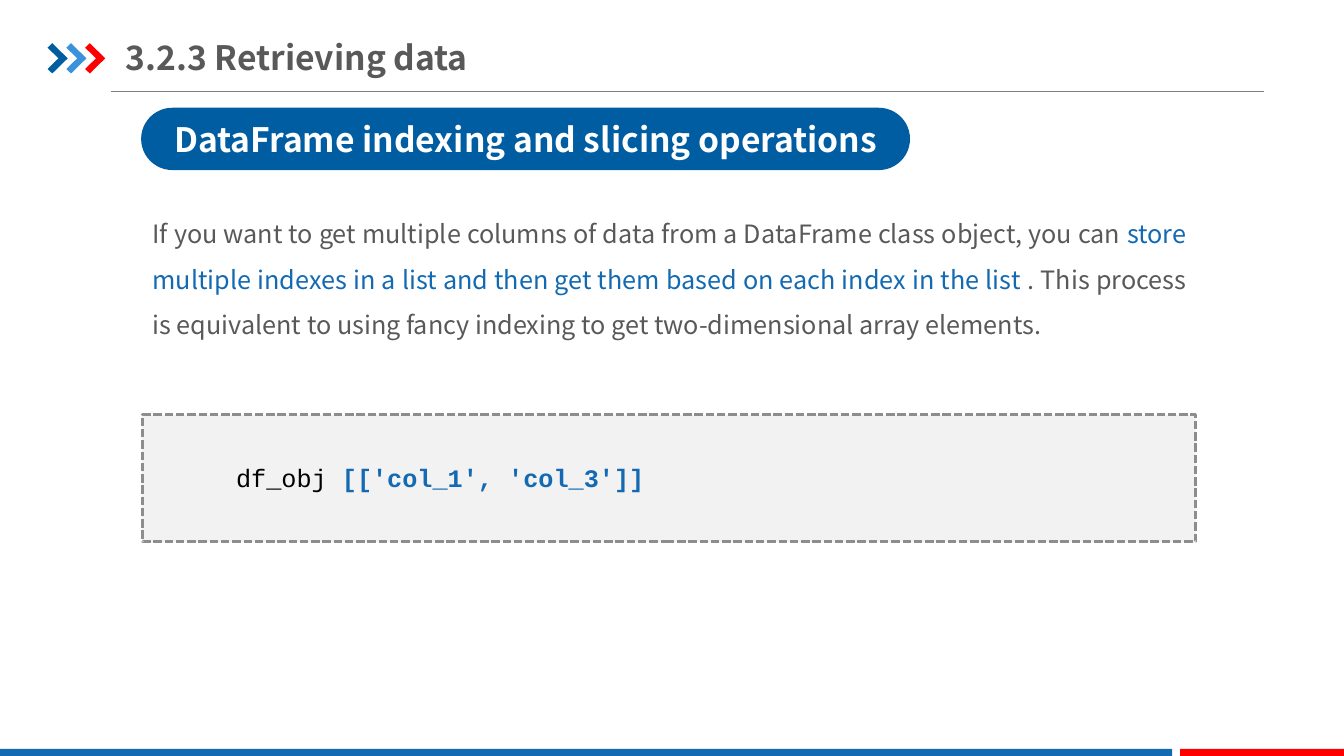
from dataclasses import dataclass

from lxml.etree import SubElement
from pptx import Presentation
from pptx.dml.color import RGBColor
from pptx.enum.dml import MSO_LINE
from pptx.enum.shapes import MSO_CONNECTOR, MSO_SHAPE
from pptx.enum.text import MSO_ANCHOR, MSO_AUTO_SIZE, PP_ALIGN
from pptx.oxml.ns import qn
from pptx.util import Pt


@dataclass(frozen=True)
class Theme:
    navy: str = "005DA2"
    blue: str = "1369B2"
    sky: str = "3992DB"
    red: str = "FF0000"
    text: str = "595959"
    black: str = "000000"
    white: str = "FFFFFF"
    rule: str = "808080"
    panel: str = "F2F2F2"
    dash: str = "8D8D8D"
    body_font: str = "Noto Sans CJK SC"
    code_font: str = "Courier New"
    heading_size: float = 24
    body_size: float = 18


THEME = Theme()
SLIDE_WIDTH, SLIDE_HEIGHT = 960, 540


def color(value):
    return RGBColor.from_string(value)


def add_span(para, text, shade, size=THEME.body_size, font=THEME.body_font, bold=False):
    span = para.add_run()
    span.text = text
    span.font.name = font
    span.font.size = Pt(size)
    span.font.bold = bold
    span.font.color.rgb = color(shade)


def paint(shape, fill):
    shape.shadow.inherit = False
    shape.fill.solid()
    shape.fill.fore_color.rgb = color(fill)
    shape.line.fill.background()


def add_block(slide, kind, box, fill):
    block = slide.shapes.add_shape(kind, *map(Pt, box))
    paint(block, fill)
    return block


def add_text_box(slide, box):
    frame = slide.shapes.add_textbox(*map(Pt, box)).text_frame
    frame.word_wrap = True
    frame.auto_size = MSO_AUTO_SIZE.SHAPE_TO_FIT_TEXT
    return frame.paragraphs[0]


def add_chevrons(slide, box):
    left, top, width, height = box
    outline = [(0, 3.2), (3.4, 0), (width, height / 2), (3.4, height),
               (0, height - 3.2), (7.8, height / 2)]
    step = 13.4
    for index, fill in enumerate((THEME.navy, THEME.sky, THEME.red)):
        points = [(Pt(left + index * step + x), Pt(top + y)) for x, y in outline]
        builder = slide.shapes.build_freeform(*points[0], scale=1.0)
        builder.add_line_segments(points[1:], close=True)
        paint(builder.convert_to_shape(), fill)


def add_header(slide, box, title):
    left, top, width, height = box
    # Rule below the title
    rule_y = Pt(top + height + 5.1)
    rule = slide.shapes.add_connector(
        MSO_CONNECTOR.STRAIGHT, Pt(left + 45.2), rule_y, Pt(left + width), rule_y)
    rule.line.color.rgb = color(THEME.rule)
    rule.line.width = Pt(0.75)
    SubElement(rule._element.spPr, qn("a:effectLst"))

    add_chevrons(slide, (left, top + 9.9, 14.4, 21.6))

    # Title placeholder
    holder = slide.shapes.title
    holder.left, holder.top = Pt(left + 56), Pt(top)
    holder.width, holder.height = Pt(361.5), Pt(height)
    frame = holder.text_frame
    frame.auto_size = MSO_AUTO_SIZE.NONE
    frame.vertical_anchor = MSO_ANCHOR.MIDDLE
    frame.margin_left = frame.margin_right = 0
    frame.margin_top = frame.margin_bottom = Pt(5)
    para = frame.paragraphs[0]
    para.alignment = PP_ALIGN.LEFT
    add_span(para, title, THEME.text, THEME.heading_size, bold=True)


def add_footer(slide, box):
    left, top, width, height = box
    blue_width, gap = 837.2, 5.8
    red_left = blue_width + gap
    add_block(slide, MSO_SHAPE.RECTANGLE, (left, top, blue_width, height), THEME.blue)
    add_block(slide, MSO_SHAPE.RECTANGLE,
              (left + red_left, top, width - red_left, height), THEME.red)


def add_topic(slide, box, text):
    pill = add_block(slide, MSO_SHAPE.ROUNDED_RECTANGLE, box, THEME.navy)
    pill.adjustments[0] = 0.5
    pill.text_frame.vertical_anchor = MSO_ANCHOR.MIDDLE
    para = pill.text_frame.paragraphs[0]
    para.alignment = PP_ALIGN.CENTER
    add_span(para, text, THEME.white, THEME.heading_size, bold=True)


def add_explanation(slide, box, spans):
    para = add_text_box(slide, box)
    para.alignment = PP_ALIGN.JUSTIFY
    para.line_spacing = 1.5
    for text, shade in spans:
        add_span(para, text, shade)


def add_code_panel(slide, box, name, selection):
    left, top, width, height = box
    panel = add_block(slide, MSO_SHAPE.RECTANGLE, box, THEME.panel)
    panel.line.color.rgb = color(THEME.dash)
    panel.line.width = Pt(2)
    panel.line.dash_style = MSO_LINE.SQUARE_DOT

    para = add_text_box(slide, (left + 38.9, top + 27.2, width - 67, 31.6))
    properties = para._p.get_or_add_pPr()
    properties.set("marL", "0")
    properties.set("indent", str(Pt(21)))
    para.line_spacing = 1.15
    add_span(para, name, THEME.black, font=THEME.code_font)
    add_span(para, selection, THEME.blue, font=THEME.code_font, bold=True)


def main():
    deck = Presentation()
    deck.slide_width, deck.slide_height = Pt(SLIDE_WIDTH), Pt(SLIDE_HEIGHT)
    page = deck.slides.add_slide(deck.slide_layouts[5])

    add_header(page, (34, 21, 869, 39.6), "3.2.3 Retrieving data")
    add_footer(page, (0, 535, SLIDE_WIDTH, 5))
    add_topic(page, (100.8, 77, 549.2, 44.5), "DataFrame indexing and slicing operations")
    add_explanation(page, (101.9, 141.8, 752.5, 134.6), [
        ("If you want to get multiple columns of data from a DataFrame class object, "
         "you can ", THEME.text),
        ("store multiple indexes in a list and then get them based on each index "
         "in the list ", THEME.blue),
        (". This process is equivalent to using fancy indexing to get "
         "two-dimensional array elements.", THEME.text),
    ])
    add_code_panel(page, (101.6, 296.4, 752.5, 90.7), "df_obj ", "[['col_1', 'col_3']]")

    deck.save("out.pptx")


if __name__ == "__main__":
    main()
